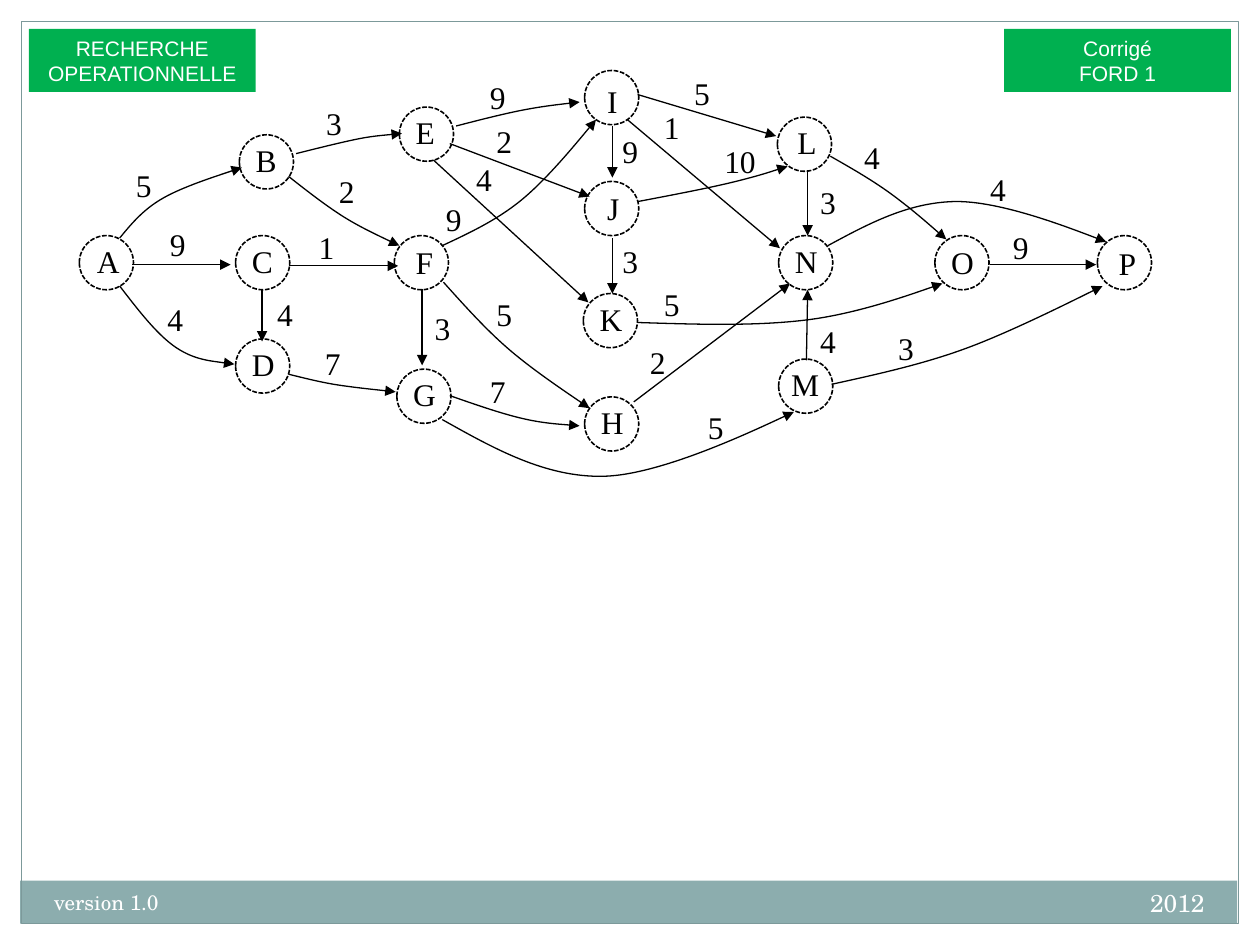
from pptx import Presentation
from pptx.dml.color import RGBColor
from pptx.enum.dml import MSO_LINE
from pptx.enum.shapes import MSO_CONNECTOR, MSO_SHAPE
from pptx.enum.text import MSO_ANCHOR, MSO_AUTO_SIZE, PP_ALIGN
from pptx.oxml.xmlchemy import OxmlElement
from pptx.util import Inches, Pt

RECTANGLE, OVAL = MSO_SHAPE.RECTANGLE, MSO_SHAPE.OVAL
STRAIGHT = MSO_CONNECTOR.STRAIGHT
DASHED = MSO_LINE.SQUARE_DOT
LEFT, CENTER, RIGHT = PP_ALIGN.LEFT, PP_ALIGN.CENTER, PP_ALIGN.RIGHT
TOP, MIDDLE = MSO_ANCHOR.TOP, MSO_ANCHOR.MIDDLE
GROW = MSO_AUTO_SIZE.SHAPE_TO_FIT_TEXT

BLACK = RGBColor(0x00, 0x00, 0x00)
WHITE = RGBColor(0xFF, 0xFF, 0xFF)
GREEN = RGBColor(0x00, 0xB0, 0x50)
FOOTER_TEAL = RGBColor(0x8C, 0xAD, 0xAE)
FRAME_TEAL = RGBColor(0x7C, 0x99, 0x9A)
GRAPH_FONT, HEADER_FONT, FOOTER_FONT = "Times New Roman", "Arial", "TeX Gyre Schola"

NODE_SIZE = 0.43
LABEL_HEIGHT = 0.4

# Node: circle left, top, then letter left, top
NODES = {
    "A": (0.63, 1.87, 0.67, 1.87), "B": (1.9, 1.07, 1.93, 1.07),
    "C": (1.87, 1.87, 1.9, 1.87), "D": (1.87, 2.69, 1.9, 2.69),
    "E": (3.17, 0.85, 3.2, 0.85), "F": (3.13, 1.87, 3.2, 1.88),
    "G": (3.15, 2.93, 3.18, 2.93), "H": (4.64, 3.15, 4.67, 3.15),
    "I": (4.64, 0.56, 4.72, 0.6), "J": (4.64, 1.44, 4.72, 1.45),
    "K": (4.63, 2.33, 4.66, 2.33), "L": (6.17, 0.93, 6.23, 0.93),
    "M": (6.18, 2.85, 6.18, 2.85), "N": (6.18, 1.87, 6.21, 1.87),
    "O": (7.42, 1.87, 7.45, 1.88), "P": (8.71, 1.87, 8.78, 1.89),
}

# Edge: weight, weight left and top, then (start, end) if straight
# or (start, handle, middle, end) if curved
EDGES = {
    "AB": ("5", 0.98, 1.27, (0.95, 1.89), (1.14, 1.66), (1.3, 1.57), (1.92, 1.33)),
    "AC": ("9", 1.25, 1.74, (1.05, 2.1), (1.83, 2.1)),
    "AD": ("4", 1.23, 2.33, (0.95, 2.27), (1.25, 2.66), (1.4, 2.76), (1.86, 2.89)),
    "BE": ("3", 2.49, 0.78, (2.35, 1.22), (2.67, 1.14), (2.81, 1.11), (3.19, 1.06)),
    "BF": ("2", 2.59, 1.32, (2.29, 1.4), (2.57, 1.62), (2.71, 1.71), (3.17, 1.95)),
    "CD": ("4", 2.1, 2.29, (2.08, 2.3), (2.08, 2.71)),
    "CF": ("1", 2.43, 1.76, (2.29, 2.11), (3.16, 2.11)),
    "DG": ("7", 2.48, 2.68, (2.29, 2.97), (2.57, 3.04), (2.71, 3.06), (3.14, 3.11)),
    "EI": ("9", 3.79, 0.57, (3.62, 1), (4.01, 0.9), (4.17, 0.87), (4.6, 0.81)),
    "EJ": ("2", 3.84, 0.92, (3.57, 1.14), (4.68, 1.56)),
    "EK": ("4", 3.68, 1.22, (3.44, 1.27), (4.67, 2.4)),
    "FG": ("3", 3.35, 2.4, (3.35, 2.29), (3.35, 2.9)),
    "FH": ("5", 3.84, 2.29, (3.52, 2.24), (3.87, 2.63), (4.06, 2.79), (4.68, 3.24)),
    "FI": ("9", 3.44, 1.54, (3.51, 1.95), (3.96, 1.74), (4.16, 1.57), (4.73, 0.95)),
    "GH": ("7", 3.79, 2.9, (3.57, 3.14), (3.97, 3.28), (4.14, 3.32), (4.6, 3.38)),
    "GM": ("5", 5.52, 3.19, (3.51, 3.33), (4.33, 3.79), (4.79, 3.78), (6.3, 3.27)),
    "HN": ("2", 5.06, 2.67, (5.03, 3.19), (6.27, 2.25)),
    "IJ": ("9", 4.84, 1, (4.86, 1), (4.86, 1.41)),
    "IL": ("5", 5.41, 0.54, (5.06, 0.75), (6.16, 1.08)),
    "IN": ("1", 5.17, 0.81, (4.98, 0.95), (6.19, 1.97)),
    "JK": ("3", 4.84, 1.87, (4.86, 1.89), (4.86, 2.33)),
    "JL": ("10", 5.65, 1.08, (5.06, 1.6), (5.64, 1.49), (5.84, 1.44), (6.25, 1.32)),
    "KO": ("5", 5.17, 2.21, (5.06, 2.56), (5.99, 2.59), (6.4, 2.54), (7.48, 2.25)),
    "LN": ("3", 6.41, 1.4, (6.41, 1.35), (6.41, 1.87)),
    "LO": ("4", 6.76, 1.05, (6.59, 1.24), (6.94, 1.44), (7.1, 1.56), (7.51, 1.9)),
    "MN": ("4", 6.41, 2.51, (6.4, 2.86), (6.41, 2.3)),
    "MP": ("3", 7.03, 2.56, (6.6, 3.05), (7.33, 2.89), (7.68, 2.76), (8.75, 2.27)),
    "NP": ("4", 7.76, 1.3, (6.57, 1.95), (7.2, 1.61), (7.57, 1.6), (8.78, 1.92)),
    "OP": ("9", 7.94, 1.76, (7.86, 2.1), (8.7, 2.1)),
}


def write(frame, text, *, size=18, font=GRAPH_FONT, color=BLACK, align=LEFT, anchor=TOP):
    frame.word_wrap = True
    frame.vertical_anchor = anchor
    for i, line in enumerate(text.split("\n")):
        paragraph = frame.paragraphs[0] if i == 0 else frame.add_paragraph()
        paragraph.alignment = align
        run = paragraph.add_run()
        run.text = line
        run.font.size = Pt(size)
        run.font.name = font
        run.font.color.rgb = color


def add_label(shapes, text, left, top, width, **text_format):
    label = shapes.add_textbox(Inches(left), Inches(top), Inches(width), Inches(LABEL_HEIGHT))
    write(label.text_frame, text, **text_format)
    label.text_frame.auto_size = GROW


def add_figure(shapes, kind, left, top, width, height, fill=None, line=None, weight=0.75):
    figure = shapes.add_shape(kind, Inches(left), Inches(top), Inches(width), Inches(height))
    figure.shadow.inherit = False
    if fill is None:
        figure.fill.background()
    else:
        figure.fill.solid()
        figure.fill.fore_color.rgb = fill
    if line is None:
        figure.line.fill.background()
    else:
        figure.line.color.rgb = line
        figure.line.width = Pt(weight)
    return figure


def add_header(shapes, text, left):
    header = add_figure(shapes, RECTANGLE, left, 0.23, 1.8, 0.5, fill=GREEN)
    write(header.text_frame, text, size=12, font=HEADER_FONT, color=WHITE,
          align=CENTER, anchor=MIDDLE)


def add_node(shapes, letter, left, top, letter_left, letter_top):
    node = shapes.add_group_shape()
    circle = add_figure(node.shapes, OVAL, left, top, NODE_SIZE, NODE_SIZE,
                        line=BLACK, weight=0.9)
    circle.line.dash_style = DASHED
    add_label(node.shapes, letter, letter_left, letter_top, 0.48)


def add_curve(shapes, start, handle, middle, end):
    """Two Bezier arcs that meet smoothly at the middle point."""
    first = [(a + b) / 2 for a, b in zip(start, handle)]
    mirrored = [2 * m - h for m, h in zip(middle, handle)]
    controls = [first, handle, middle, mirrored, end, end]
    builder = shapes.build_freeform(Inches(start[0]), Inches(start[1]))
    builder.add_line_segments([(Inches(x), Inches(y)) for x, y in controls], close=False)
    curve = builder.convert_to_shape()
    curve.fill.background()

    # Turn each three line segments into one Bezier arc
    segments = curve._element.xpath(".//a:lnTo")
    for i in range(0, len(segments), 3):
        arc = OxmlElement("a:cubicBezTo")
        segments[i].addprevious(arc)
        for segment in segments[i:i + 3]:
            arc.append(segment[0])
            segment.getparent().remove(segment)
    return curve


def add_edge(shapes, *points):
    if len(points) == 2:
        ends = [Inches(value) for point in points for value in point]
        edge = shapes.add_connector(STRAIGHT, *ends)
    else:
        edge = add_curve(shapes, *points)
    edge.line.color.rgb = BLACK
    edge.line.width = Pt(0.75)
    arrowhead = OxmlElement("a:tailEnd")
    arrowhead.set("type", "triangle")
    edge._element.xpath(".//a:ln")[0].append(arrowhead)
    edge._element.xpath("./p:spPr")[0].append(OxmlElement("a:effectLst"))


def main():
    prs = Presentation()
    prs.slide_width, prs.slide_height = Inches(10), Inches(7.5)
    shapes = prs.slides.add_slide(prs.slide_layouts[6]).shapes

    # Footer band and frame
    add_figure(shapes, RECTANGLE, 0.16, 6.99, 9.66, 0.34, fill=FOOTER_TEAL)
    add_figure(shapes, RECTANGLE, 0.17, 0.17, 9.66, 7.16, line=FRAME_TEAL)
    add_label(shapes, "2012", 6.33, 7, 3.33, size=14, font=FOOTER_FONT,
              color=WHITE, align=RIGHT)
    add_label(shapes, "version 1.0", 0.33, 7.01, 3.92, size=12, font=FOOTER_FONT, color=WHITE)

    # Headers
    add_header(shapes, "RECHERCHE\nOPERATIONNELLE", 0.23)
    add_header(shapes, "Corrigé\nFORD 1", 7.97)

    # Weighted graph
    for letter, places in NODES.items():
        add_node(shapes, letter, *places)
    for weight, left, top, *points in EDGES.values():
        add_edge(shapes, *points)
        add_label(shapes, weight, left, top, 0.41 if len(weight) == 1 else 0.46)

    prs.save("out.pptx")


if __name__ == "__main__":
    main()
